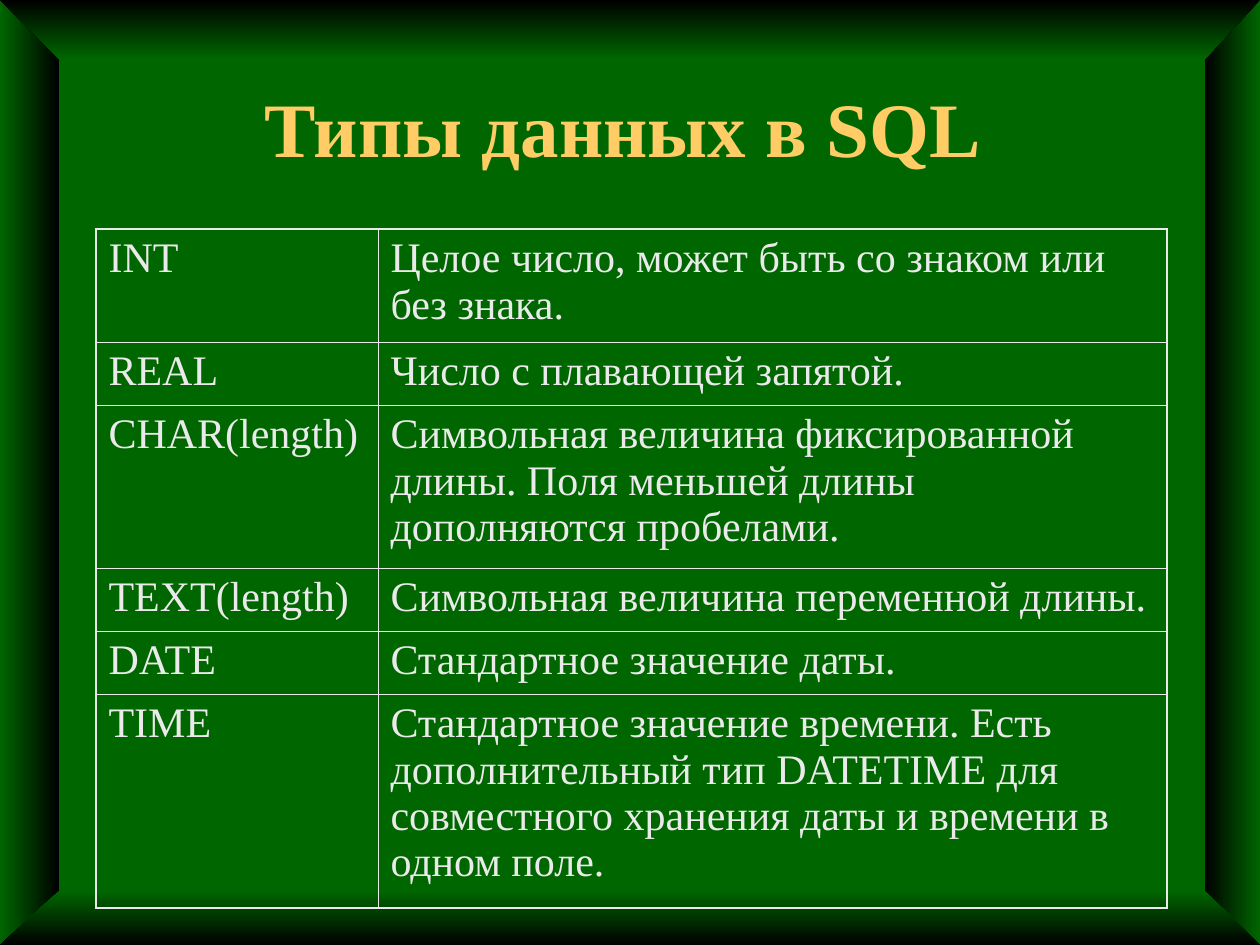
from dataclasses import dataclass

import pptx
import pptx.dml.color
import pptx.enum.shapes
import pptx.enum.text
import pptx.oxml
import pptx.oxml.ns
import pptx.util

SCALE = 914400 / 126
W, H, EDGE = 1260, 945, 59
FONT = "Times New Roman"
COLORS = {"green": "006600", "black": "000000", "title": "FFCC66", "text": "EAEAEA"}
THIN, THICK = 0.45, 1.08
COLUMNS = (282, 789)


@dataclass(frozen=True)
class Bevel:
    points: tuple[tuple[int, int], ...]
    start: str
    end: str
    angle: int


@dataclass(frozen=True)
class DataType:
    name: str
    description: str
    height: int


BEVELS = (
    Bevel(((W - EDGE + 4, 0), (W, 0), (W, H), (W - EDGE + 4, H)), "black", "green", 0),
    Bevel(((0, 0), (EDGE, 0), (EDGE, H), (0, H)), "green", "black", 0),
    Bevel(((0, 0), (W, 0), (W - EDGE + 4, EDGE), (EDGE, EDGE)), "black", "green", 270),
    Bevel(((0, H), (W, H), (W - EDGE + 4, H - 54), (EDGE, H - 54)), "green", "black", 270),
)
DATA_TYPES = (
    DataType("INT", "Целое число, может быть со знаком или без знака.", 113),
    DataType("REAL", "Число с плавающей запятой.", 63),
    DataType("CHAR(length)", "Символьная величина фиксированной длины. Поля меньшей длины дополняются пробелами.", 163),
    DataType("TEXT(length)", "Символьная величина переменной длины.", 63),
    DataType("DATE", "Стандартное значение даты.", 63),
    DataType("TIME", "Стандартное значение времени. Есть дополнительный тип DATETIME для совместного хранения даты и времени в одном поле.", 214),
)


def px(n: int) -> int:
    return pptx.util.Emu(round(n * SCALE))


def rgb(name: str) -> pptx.dml.color.RGBColor:
    return pptx.dml.color.RGBColor.from_string(COLORS[name])


def add_run(p, text: str, size: int, color: str, bold: bool = False) -> None:
    r = p.add_run()
    r.text = text
    r.font.name = FONT
    r.font.size = pptx.util.Pt(size)
    r.font.bold = bold
    r.font.color.rgb = rgb(color)


def draw_bevel(s, bevel: Bevel) -> None:
    first, *rest = bevel.points
    builder = s.shapes.build_freeform(*first, scale=SCALE)
    builder.add_line_segments(rest, close=True)
    sp = builder.convert_to_shape()
    sp.shadow.inherit = False
    sp.line.fill.background()
    sp.fill.gradient()
    sp.fill.gradient_angle = bevel.angle
    for stop, color, position in zip(sp.fill.gradient_stops, (bevel.start, bevel.end), (0, 1)):
        stop.color.rgb = rgb(color)
        stop.position = position


def draw_title(s, text: str) -> None:
    sp = s.shapes.title
    sp.left, sp.top, sp.width, sp.height = px(95), px(48), px(1071), px(157)
    tf = sp.text_frame
    tf.word_wrap = True
    tf.vertical_anchor = pptx.enum.text.MSO_ANCHOR.MIDDLE
    p = tf.paragraphs[0]
    p.alignment = pptx.enum.text.PP_ALIGN.CENTER
    add_run(p, text, 44, "title", bold=True)


def set_borders(cell, widths: dict[str, float]) -> None:
    tc_pr = cell._tc.get_or_add_tcPr()
    for i, (side, width) in enumerate(widths.items()):
        tc_pr.insert(i, pptx.oxml.parse_xml(
            f'<a:ln{side} {pptx.oxml.ns.nsdecls("a")} w="{pptx.util.Pt(width)}"><a:solidFill>'
            f'<a:srgbClr val="{COLORS["text"]}"/></a:solidFill></a:ln{side}>'))


def draw_table(s, rows: tuple[DataType, ...]) -> None:
    last_row, last_col = len(rows) - 1, len(COLUMNS) - 1
    frame = s.shapes.add_table(len(rows), len(COLUMNS), px(96), px(229),
                               px(sum(COLUMNS)), px(sum(row.height for row in rows)))
    table = frame.table
    table.first_row = table.horz_banding = False
    for column, width in zip(table.columns, COLUMNS):
        column.width = px(width)
    for i, row in enumerate(rows):
        table.rows[i].height = px(row.height)
        for j, text in enumerate((row.name, row.description)):
            cell = table.cell(i, j)
            cell.fill.background()
            outer = {"L": j == 0, "R": j == last_col, "T": i == 0, "B": i == last_row}
            set_borders(cell, {side: THICK if edge else THIN for side, edge in outer.items()})
            p = cell.text_frame.paragraphs[0]
            p.space_before = pptx.util.Pt(6)
            add_run(p, text, 24, "text")


def main() -> None:
    prs = pptx.Presentation()
    prs.slide_width, prs.slide_height = px(W), px(H)
    s = prs.slides.add_slide(prs.slide_layouts[5])
    s.background.fill.solid()
    s.background.fill.fore_color.rgb = rgb("green")
    for bevel in BEVELS:
        draw_bevel(s, bevel)
    draw_title(s, "Типы данных в SQL ")
    draw_table(s, DATA_TYPES)
    prs.save("out.pptx")


if __name__ == "__main__":
    main()
